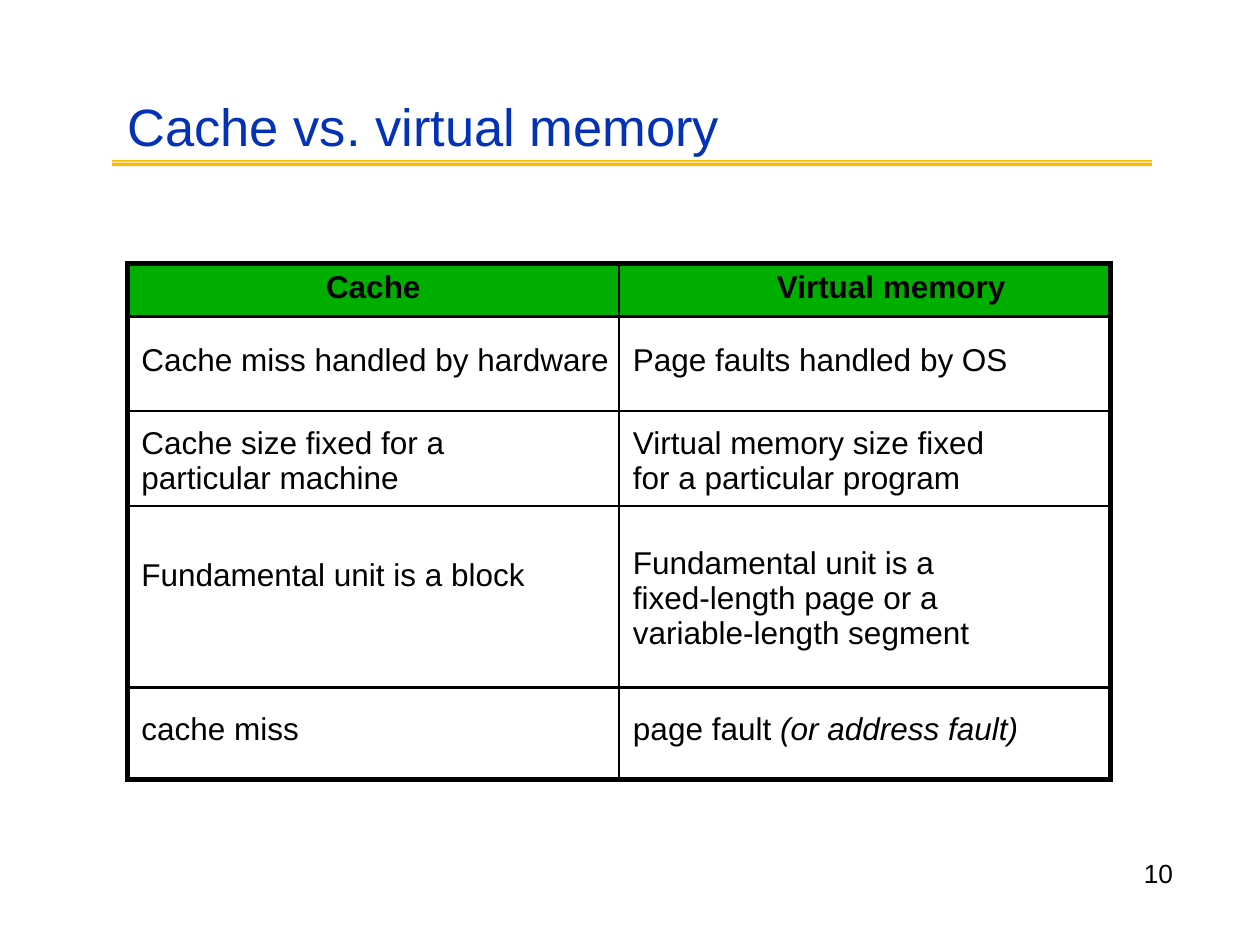
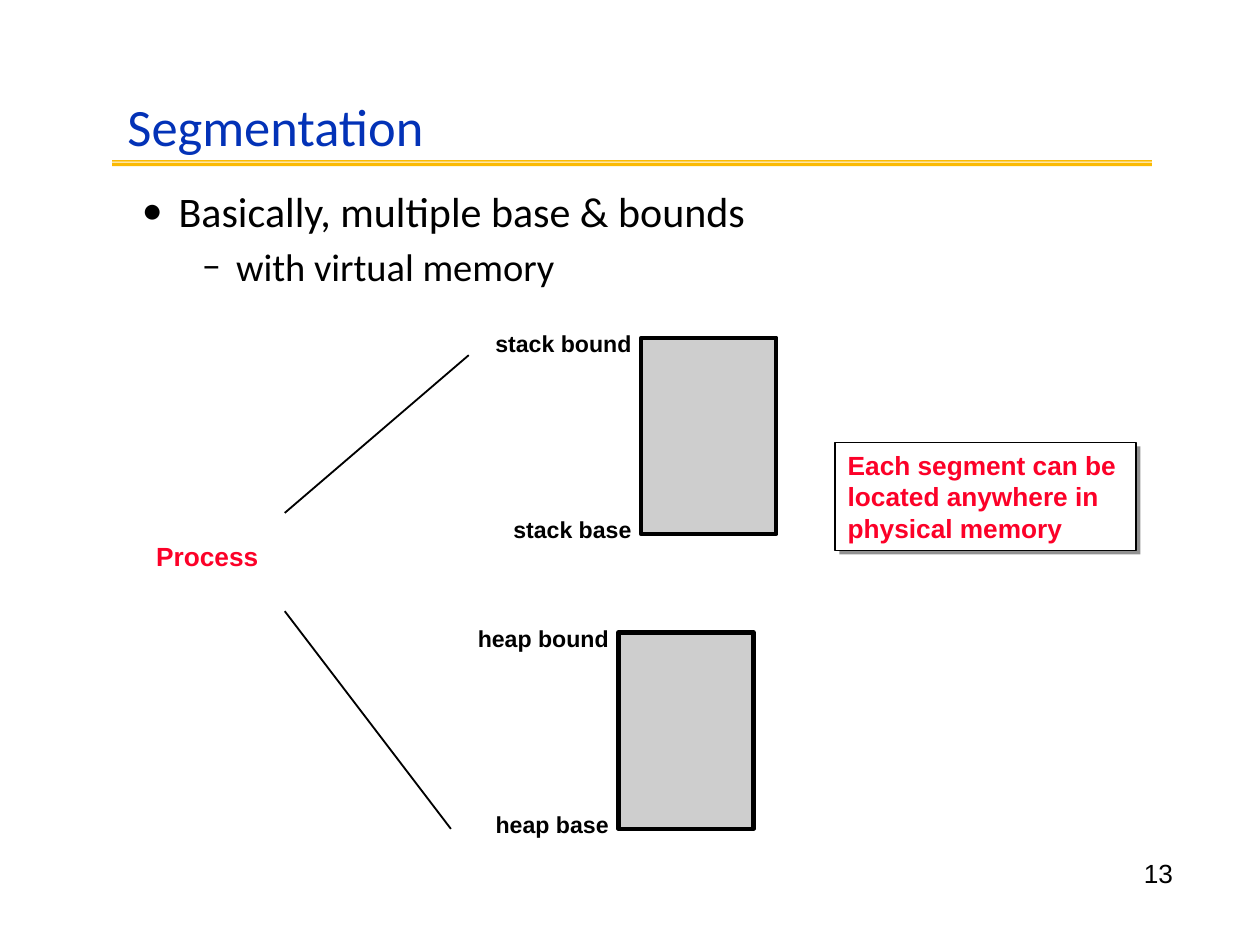
import dataclasses

import lxml.etree
import pptx
import pptx.dml.color
import pptx.enum.shapes
import pptx.enum.text
import pptx.oxml.ns
import pptx.util

Cm, Pt = pptx.util.Cm, pptx.util.Pt
RGB = pptx.dml.color.RGBColor.from_string
qn = pptx.oxml.ns.qn
ALIGN = pptx.enum.text.PP_ALIGN
RECT = pptx.enum.shapes.MSO_SHAPE.RECTANGLE


# Content: text is a list of runs, each (words, style)
TABLE_TITLE = "Cache vs. virtual memory"
HEADS = ["Cache", "Virtual memory"]
# height, top inset of each cell, cells
ROWS = [
    (1.91, (0.54, 0.54), ([("Cache miss handled by hardware", "")],
                          [("Page faults handled by OS", "")])),
    (1.91, (0.3, 0.3), ([("Cache size fixed for a\nparticular machine", "")],
                        [("Virtual memory size fixed\nfor a particular program", "")])),
    (3.66, (1.05, 0.8), ([("Fundamental unit is a block", "")],
                         [("Fundamental unit is a\nfixed-length page or a\n"
                           "variable-length segment", "")])),
    (1.85, (0.5, 0.5), ([("cache miss", "")],
                        [("page fault ", ""), ("(or address fault)", "i")])),
]

SEG_TITLE = "Segmentation"
# words, bullet, size, left margin, hang, space before
POINTS = [
    ("Basically, multiple base & bounds", "•", 24, 0.76, 0.74, 0),
    ("with virtual memory", "–", 22, 1.92, 0.69, 4.2),
]
PARTS = [("stack", 12.93, 6.81), ("heap", 12.47, 12.75)]  # name, left, top
LINES = [(5.74, 10.34, 9.45, 7.16), (5.74, 12.32, 9.09, 16.71)]
NOTE = "Each segment can be located anywhere in physical memory"


@dataclasses.dataclass(frozen=True)
class Theme:
    sans: str = "Arial"
    soft: str = "Calibri"
    blue: str = "0332B7"
    gold: str = "FBBA03"
    green: str = "00AE00"
    red: str = "FC0128"
    gray: str = "CECECE"
    shade: str = "919191"
    black: str = "000000"
    white: str = "FFFFFF"
    title: float = 30
    cell: float = 18
    note: float = 15
    label: float = 13.2
    thick: float = 3
    thin: float = 1.5
    edge: float = 2.4
    hair: float = 1.06


T = Theme()


# Text helpers
def write(para, runs, size, color=T.black, face=T.sans):
    """Add runs to a paragraph; a newline becomes a line break."""
    for words, style in runs:
        for num, line in enumerate(words.split("\n")):
            if num:
                para.add_line_break()
            run = para.add_run()
            run.text = line
            font = run.font
            font.name, font.size = face, Pt(size)
            font.bold, font.italic = "b" in style, "i" in style
            font.color.rgb = RGB(color)


def frame(shape, left=0, top=0):
    """Set a plain top-anchored frame and return it."""
    text = shape.text_frame
    text.word_wrap = True
    text.auto_size = pptx.enum.text.MSO_AUTO_SIZE.NONE
    text.vertical_anchor = pptx.enum.text.MSO_ANCHOR.TOP
    text.margin_left, text.margin_top = Cm(left), Cm(top)
    text.margin_right = text.margin_bottom = 0
    return text


def place(shape, *box):
    shape.left, shape.top, shape.width, shape.height = map(Cm, box)


def label(slide, words, box, size, color=T.black, style="", align=ALIGN.LEFT):
    para = frame(slide.shapes.add_textbox(*map(Cm, box)), top=0.03).paragraphs[0]
    para.alignment = align
    write(para, [(words, style)], size, color)


# Shape helpers
def block(slide, box, fill, width=0):
    shape = slide.shapes.add_shape(RECT, *map(Cm, box))
    shape.shadow.inherit = False
    shape.fill.solid()
    shape.fill.fore_color.rgb = RGB(fill)
    if width:
        shape.line.color.rgb = RGB(T.black)
        shape.line.width = Pt(width)
    else:
        shape.line.fill.background()
    return shape


def border(cell, sides):
    props = cell._tc.get_or_add_tcPr()
    for side, width in sides.items():
        line = lxml.etree.SubElement(props, qn("a:ln" + side), w=str(Pt(width)))
        fill = lxml.etree.SubElement(line, qn("a:solidFill"))
        lxml.etree.SubElement(fill, qn("a:srgbClr"), val=T.black)


# Parts shared by both slides
def start(deck, layout, title, face, page):
    slide = deck.slides.add_slide(deck.slide_layouts[layout])
    for top, high in [(3.23, 0.03), (3.28, 0.07)]:
        block(slide, (2.26, top, 20.96, high), T.gold)
    head = slide.shapes.title
    place(head, 2.54, 1.85, 14.4, 1.32)
    para = frame(head, 0.03, 0.05).paragraphs[0]
    para.alignment = ALIGN.LEFT
    write(para, [(title, "")], T.title, T.blue, face)
    label(slide, page, (23.06, 17.25, 0.92, 0.61), T.note)
    return slide


# Comparison table
def compare(deck):
    slide = start(deck, 5, TABLE_TITLE, T.sans, "10")
    top_row = (1.07, (0.13, 0.13), [[(head, "b")] for head in HEADS])
    rows = [top_row] + ROWS
    wide, last = 9.91, len(rows) - 1
    total = sum(row[0] for row in rows)
    table = slide.shapes.add_table(len(rows), len(HEADS), Cm(2.57), Cm(5.31),
                                   Cm(wide * len(HEADS)), Cm(total)).table
    table.first_row = table.horz_banding = False
    for col in table.columns:
        col.width = Cm(wide)
    for r, (high, tops, texts) in enumerate(rows):
        table.rows[r].height = Cm(high)
        for c, runs in enumerate(texts):
            cell = table.cell(r, c)
            outer = {"L": c == 0, "R": c == 1, "T": r == 0, "B": r == last}
            border(cell, {side: T.thick if out else T.thin
                          for side, out in outer.items()})
            cell.margin_left, cell.margin_top = Cm(0.28), Cm(tops[c])
            cell.margin_right = cell.margin_bottom = 0
            para = cell.text_frame.paragraphs[0]
            if r == 0:
                cell.fill.solid()
                cell.fill.fore_color.rgb = RGB(T.green)
                cell.margin_left = Cm(3.18 * c)
                para.alignment = ALIGN.LEFT if c else ALIGN.CENTER
            else:
                cell.fill.background()
            write(para, runs, T.cell)


# Segment diagram
def segment(deck):
    slide = start(deck, 1, SEG_TITLE, T.soft, "13")

    # Bullets
    body = slide.placeholders[1]
    place(body, 2.84, 3.48, 15.27, 2.41)
    text = frame(body, 0, 0.25)
    for num, (words, mark, size, left, hang, gap) in enumerate(POINTS):
        para = text.add_paragraph() if num else text.paragraphs[0]
        para.level = num
        props = para._p.get_or_add_pPr()
        props.set("marL", str(Cm(left)))
        props.set("indent", str(-Cm(hang)))
        lxml.etree.SubElement(props, qn("a:buFont"), typeface=T.soft)
        lxml.etree.SubElement(props, qn("a:buChar"), char=mark)
        para.space_before = Pt(gap)
        write(para, [(words, "")], size, face=T.soft)

    # Memory boxes with a label at each end
    wide, high, gap, span = 2.72, 3.96, 0.2, 3
    for name, left, top in PARTS:
        block(slide, (left, top, wide, high), T.gray, T.edge)
        for end, y in [("bound", top - 0.2), ("base", top + high - 0.41)]:
            label(slide, f"{name} {end}", (left - gap - span, y, span, 0.61),
                  T.label, style="b", align=ALIGN.RIGHT)

    # Process and its lines
    label(slide, "Process", (3.15, 10.87, 2.4, 0.66), T.note, T.red, "b")
    for ends in LINES:
        line = slide.shapes.add_connector(
            pptx.enum.shapes.MSO_CONNECTOR.STRAIGHT, *map(Cm, ends))
        line.line.color.rgb = RGB(T.black)
        line.line.width = Pt(T.hair)
        lxml.etree.SubElement(line._element.spPr, qn("a:effectLst"))

    # Note on its shade
    left, top, wide, high, drop = 16.84, 8.92, 6.07, 2.18, 0.08
    block(slide, (left + drop, top + drop, wide, high), T.shade)
    card = block(slide, (left, top, wide, high), T.white, T.hair)
    para = frame(card, 0.25, 0.13).paragraphs[0]
    para.alignment = ALIGN.LEFT
    write(para, [(NOTE, "b")], T.note, T.red)


def main():
    deck = pptx.Presentation()
    deck.slide_width, deck.slide_height = Cm(25.4), Cm(19.05)
    compare(deck)
    segment(deck)
    deck.save("out.pptx")


if __name__ == "__main__":
    main()
